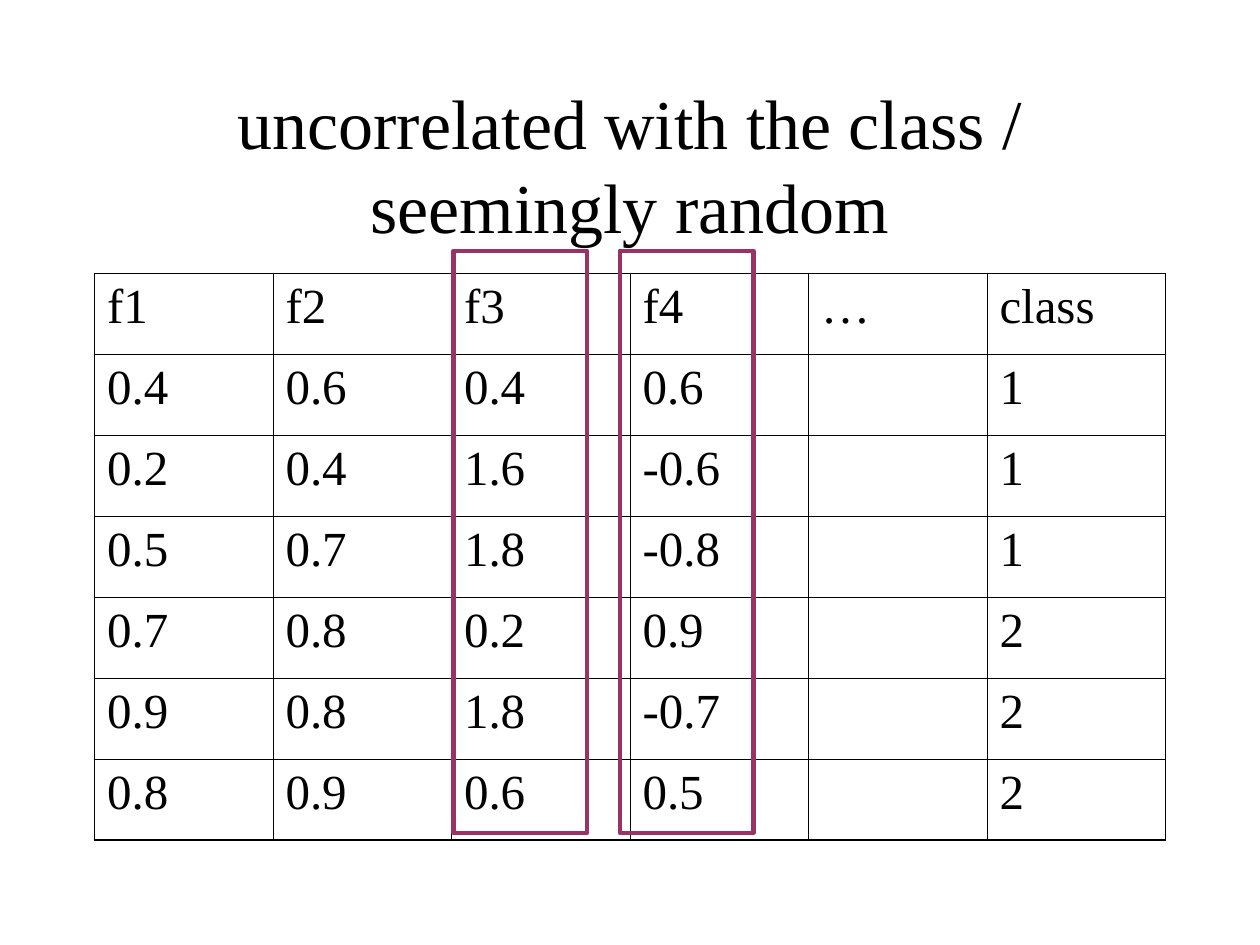
from lxml import etree
from pptx import Presentation
from pptx import util as u
from pptx.dml.color import RGBColor
from pptx.enum import shapes, text
from pptx.oxml import ns

COLOURS = {"ink": "000000", "highlight": "993366"}
FONT = "Times New Roman"
THIN, THICK = 0.45, 1.08
ROWS = [
    ["f1", "f2", "f3", "f4", "…", "class"],
    ["0.4", "0.6", "0.4", "0.6", "", "1"],
    ["0.2", "0.4", "1.6", "-0.6", "", "1"],
    ["0.5", "0.7", "1.8", "-0.8", "", "1"],
    ["0.7", "0.8", "0.2", "0.9", "", "2"],
    ["0.9", "0.8", "1.8", "-0.7", "", "2"],
    ["0.8", "0.9", "0.6", "0.5", "", "2"],
]


def colour(name):
    return RGBColor.from_string(COLOURS[name])


def apply_format(target, values):
    for name, value in values.items():
        setattr(target, name, value)


def format_font(font, size):
    apply_format(font, {"name": FONT, "size": u.Pt(size), "bold": False})
    font.color.rgb = colour("ink")


def place(left, top, width, height):
    return {
        "left": u.Inches(left),
        "top": u.Inches(top),
        "width": u.Inches(width),
        "height": u.Inches(height),
    }


def add_title(page, words):
    title = page.shapes.title
    apply_format(title, place(0.75, 0.67, 8.5, 1.25))
    apply_format(title.text_frame, {
        "text": words,
        "word_wrap": True,
        "auto_size": text.MSO_AUTO_SIZE.NONE,
        "vertical_anchor": text.MSO_ANCHOR.MIDDLE,
    })
    para = title.text_frame.paragraphs[0]
    para.alignment = text.PP_ALIGN.CENTER
    format_font(para.runs[0].font, 40)


def add_borders(cell, widths):
    properties = cell._tc.get_or_add_tcPr()
    for position, (side, width) in enumerate(widths.items()):
        line = etree.Element(ns.qn(f"a:ln{side}"), w=str(u.Pt(width)))
        fill = etree.SubElement(line, ns.qn("a:solidFill"))
        etree.SubElement(fill, ns.qn("a:srgbClr"), val=COLOURS["ink"])
        properties.insert(position, line)


def add_feature_table(page, rows):
    row_count, column_count = len(rows), len(rows[0])
    box = place(0.75, 2.17, 8.5, 4.5)
    table = page.shapes.add_table(row_count, column_count, **box).table
    apply_format(table, {"first_row": False, "horz_banding": False})
    for r, row in enumerate(rows):
        for c, value in enumerate(row):
            cell = table.cell(r, c)
            cell.fill.background()
            add_borders(cell, {
                "L": THICK if c == 0 else THIN,
                "R": THICK if c == column_count - 1 else THIN,
                "T": THICK if r == 0 else THIN,
                "B": THICK if r == row_count - 1 else THIN,
            })
            if value:
                cell.text = value
                format_font(cell.text_frame.paragraphs[0].runs[0].font, 28)


def add_highlight(page, left):
    box = page.shapes.add_shape(
        shapes.MSO_SHAPE.RECTANGLE, **place(left, 1.99, 1.06, 4.62))
    box.shadow.inherit = False
    box.fill.background()
    box.line.color.rgb = colour("highlight")
    box.line.width = u.Pt(2.5)


def main():
    deck = Presentation()
    apply_format(deck, {"slide_width": u.Inches(10), "slide_height": u.Inches(7.5)})
    page = deck.slides.add_slide(deck.slide_layouts[5])
    add_title(page, "uncorrelated with the class / seemingly random")
    add_feature_table(page, ROWS)
    for left in (3.6, 4.92):
        add_highlight(page, left)
    deck.save("out.pptx")


if __name__ == "__main__":
    main()
